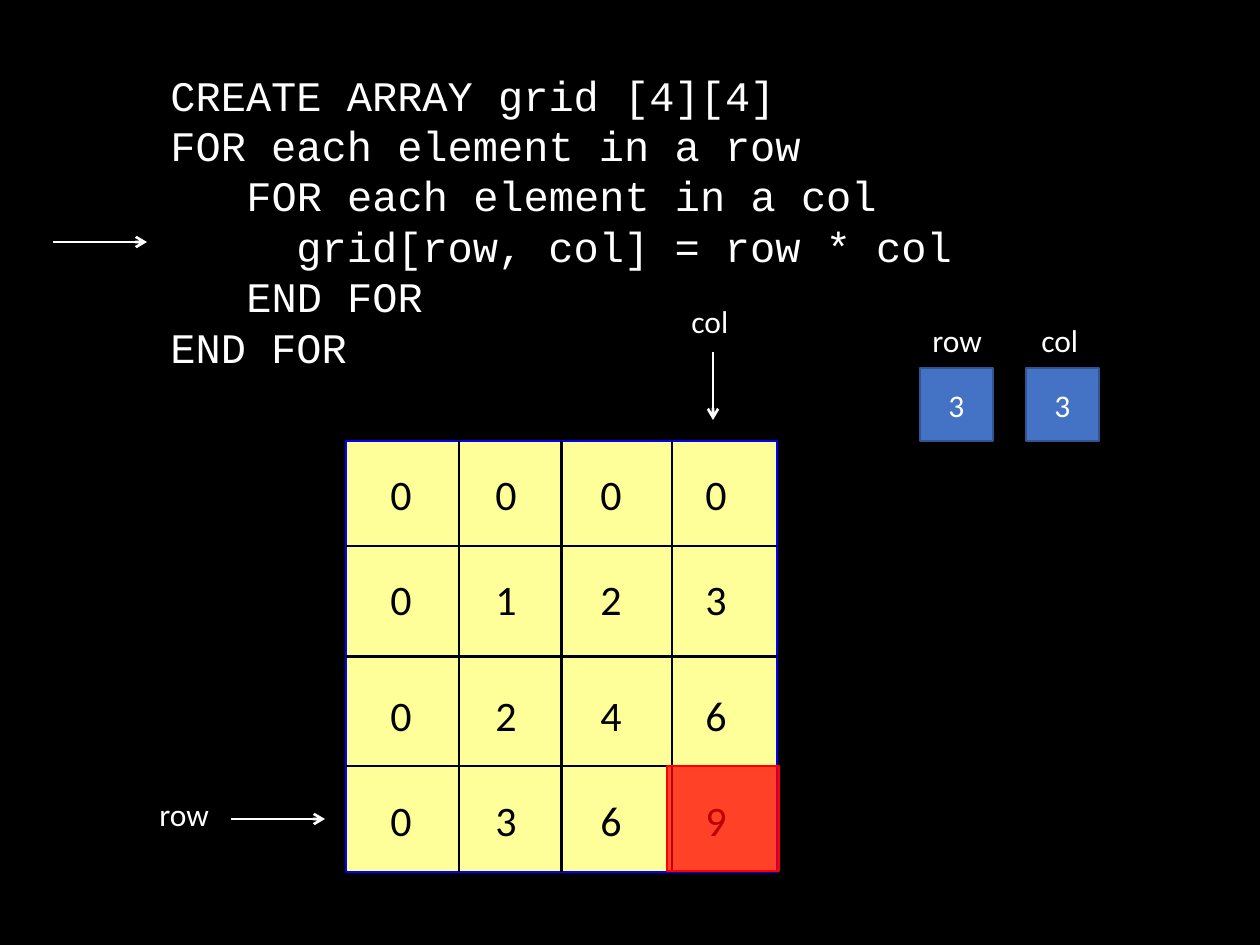
from lxml.etree import SubElement
from pptx import Presentation
from pptx.dml.color import RGBColor
from pptx.enum.shapes import MSO_CONNECTOR, MSO_SHAPE
from pptx.enum.text import MSO_ANCHOR, MSO_AUTO_SIZE, PP_ALIGN
from pptx.oxml.ns import qn
from pptx.util import Emu, Pt

WHITE, BLACK, RED = "FFFFFF", "000000", "FF0000"
CODE = [
    (0, "CREATE ARRAY grid [4][4]"),
    (0, "FOR each element in a row"),
    (76, "FOR each element in a col"),
    (126, "grid[row, col] = row * col"),
    (76, "END FOR"),
    (0, "END FOR"),
]


def px(count):
    return Emu(round(count * 914400 / 126))


def color(code):
    return RGBColor.from_string(code)


def assign(item, form):
    for name, value in form.items():
        setattr(item, name, value)


def write(frame, lines, size, tint, face="Calibri", **form):
    for place, (inset, text) in enumerate(lines):
        para = frame.add_paragraph() if place else frame.paragraphs[0]
        assign(para, form)
        if inset:
            para._p.get_or_add_pPr().set("marL", str(px(inset)))
        run = para.add_run()
        run.text = text
        assign(run.font, {"size": Pt(size), "name": face})
        run.font.color.rgb = color(tint)


def label(slide, area, lines, size, tint, wrap=False, face="Calibri"):
    frame = slide.shapes.add_textbox(*map(px, area)).text_frame
    assign(frame, {"word_wrap": wrap, "auto_size": MSO_AUTO_SIZE.SHAPE_TO_FIT_TEXT})
    write(frame, lines, size, tint, face)


def block(slide, area, fill, edge):
    shape = slide.shapes.add_shape(MSO_SHAPE.RECTANGLE, *map(px, area))
    shape.shadow.inherit = False
    shape.fill.solid()
    shape.fill.fore_color.rgb = color(fill)
    assign(shape.line, {"width": Pt(1)})
    shape.line.color.rgb = color(edge)
    return shape


def fade(shape, percent):
    tint = shape.fill._xPr.find(qn("a:solidFill"))[0]
    SubElement(tint, qn("a:alpha")).set("val", str(percent * 1000))


def stroke(slide, ends, tint):
    line = slide.shapes.add_connector(MSO_CONNECTOR.STRAIGHT, *map(px, ends))
    line.line.width = Pt(1.5)
    line.line.color.rgb = color(tint)
    SubElement(line._element.spPr, qn("a:effectLst"))
    return line


def arrow(slide, ends):
    line = stroke(slide, ends, WHITE)
    SubElement(line.line._get_or_add_ln(), qn("a:tailEnd")).set("type", "arrow")


def join(line, shape, start, stop):
    line.begin_connect(shape, start)
    line.end_connect(shape, stop)


def draw_grid(slide):
    left, top, side = 346, 441, 431
    board = block(slide, (left, top, side, side), "FFFF99", "0000FF")
    for x in (562, 672, 459):
        line = stroke(slide, (x, top, x, top + side), BLACK)
        if x == 562:
            join(line, board, 0, 2)
    for y in (656, 546, 766):
        line = stroke(slide, (left, y, left + side, y), BLACK)
        if y == 656:
            join(line, board, 1, 3)
    for row, y in enumerate((462, 567, 683, 788)):
        for col in range(4):
            area = (378 + 105 * col, y, 73, 63)
            label(slide, area, [(0, str(row * col))], 24, BLACK, True)


def draw_value(slide, left, text):
    box = block(slide, (left, 368, 73, 73), "4472C4", "325491")
    box.text_frame.vertical_anchor = MSO_ANCHOR.MIDDLE
    write(box.text_frame, [(0, text)], 18, WHITE, alignment=PP_ALIGN.CENTER)


def main():
    deck = Presentation()
    assign(deck, {"slide_width": px(1260), "slide_height": px(945)})
    slide = deck.slides.add_slide(deck.slide_layouts[6])
    slide.background.fill.solid()
    slide.background.fill.fore_color.rgb = color(BLACK)
    draw_grid(slide)
    label(slide, (158, 63, 813, 318), CODE, 24, WHITE, face="Courier New")
    fade(block(slide, (667, 766, 112, 105), RED, RED), 74)
    for ends in ((53, 242, 147, 242), (713, 352, 713, 420), (231, 819, 325, 819)):
        arrow(slide, ends)
    for left in (1026, 920):
        draw_value(slide, left, "3")
    for text, left, top, width in (
        ("row", 147, 789, 77),
        ("col", 679, 296, 66),
        ("row", 920, 315, 77),
        ("col", 1029, 315, 73),
    ):
        label(slide, (left, top, width, 50), [(0, text)], 18, WHITE)
    deck.save("out.pptx")


if __name__ == "__main__":
    main()
